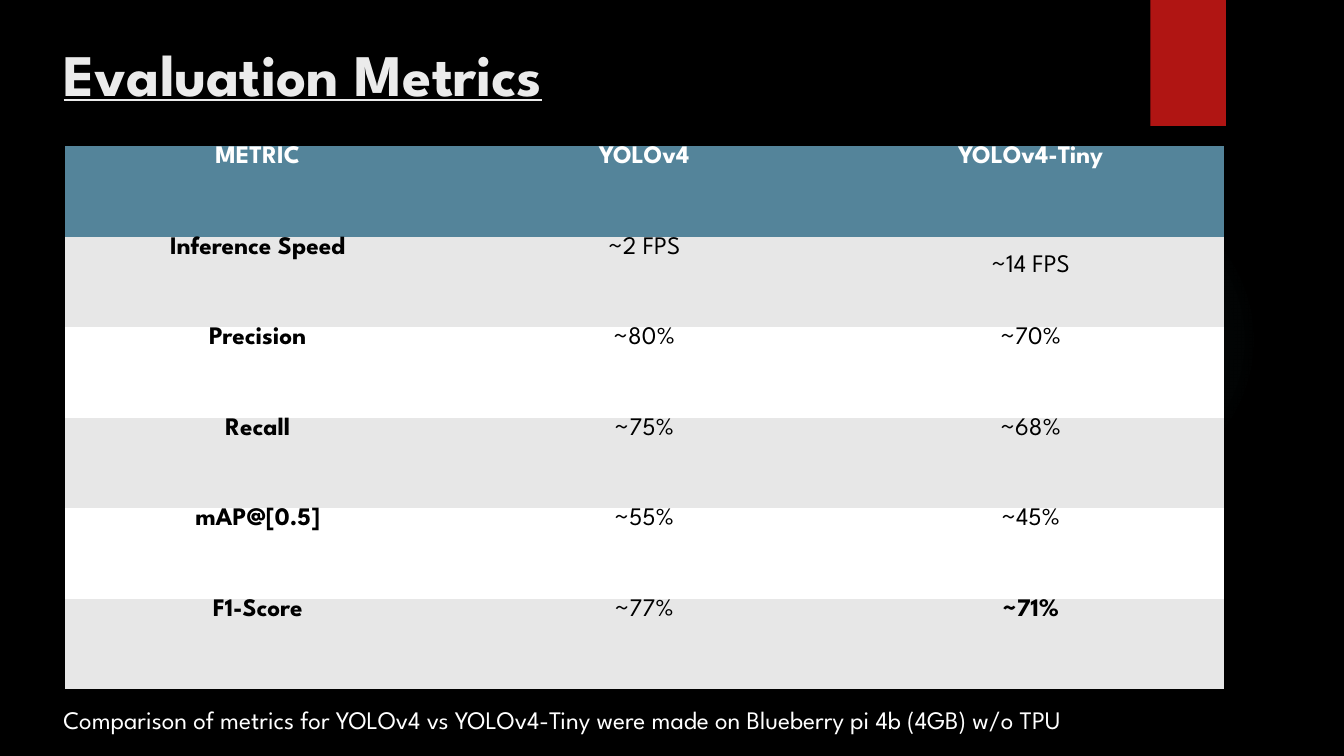
import pptx
import pptx.dml.color
import pptx.enum.shapes
import pptx.enum.text
import pptx.oxml
import pptx.oxml.ns
import pptx.util

RGBColor = pptx.dml.color.RGBColor
MSO_SHAPE = pptx.enum.shapes.MSO_SHAPE
MSO_ANCHOR = pptx.enum.text.MSO_ANCHOR
Inches = pptx.util.Inches

BLACK = RGBColor(0x00, 0x00, 0x00)
WHITE = RGBColor(0xFF, 0xFF, 0xFF)
OFF_WHITE = RGBColor(0xEB, 0xEB, 0xEB)
RED = RGBColor(0xB0, 0x15, 0x13)
TEAL = RGBColor(0x50, 0xB9, 0xC1)
HEADER_BLUE = RGBColor(0x54, 0x84, 0x9A)
BAND_GREY = RGBColor(0xE7, 0xE7, 0xE7)

FONT = "League Spartan"
SLIDE_WIDTH, SLIDE_HEIGHT = Inches(13.33), Inches(7.5)
TEXT_LEFT = Inches(0.53)
PLAIN_TABLE_STYLE = "{2D5ABB26-0587-4C30-8999-92F81FD0307C}"
GLOW_STOPS = [(0, 7), (36, 6), (69, 0)]  # position and opacity, in percent

METRICS = [
    ("METRIC", "YOLOv4", "YOLOv4-Tiny"),
    ("Inference Speed", "~2 FPS", "~14 FPS"),
    ("Precision", "~80%", "~70%"),
    ("Recall", "~75%", "~68%"),
    ("mAP@[0.5]", "~55%", "~45%"),
    ("F1-Score", "~77%", "~71%"),
]
BOLD_VALUES = {"~71%"}


def write(frame, text, size, color, bold=False, underline=False):
    frame.text = text
    font = frame.paragraphs[0].runs[0].font
    font.name, font.size = FONT, pptx.util.Pt(size)
    font.bold, font.underline = bold, underline
    font.color.rgb = color


def add_plain_shape(slide, kind, left, top, width, height, color):
    shape = slide.shapes.add_shape(kind, left, top, width, height)
    shape.shadow.inherit = False
    shape.line.fill.background()
    shape.fill.solid()
    shape.fill.fore_color.rgb = color
    return shape


def add_glow(slide):
    """Add the faint round light that fades out behind the table."""
    diameter = Inches(3.08)
    glow = add_plain_shape(slide, MSO_SHAPE.OVAL, Inches(9.41), Inches(1.83),
                           diameter, diameter, TEAL)
    stops = "".join(
        f'<a:gs pos="{position * 1000}"><a:srgbClr val="{TEAL}">'
        f'<a:alpha val="{opacity * 1000}"/></a:srgbClr></a:gs>'
        for position, opacity in GLOW_STOPS)
    gradient = pptx.oxml.parse_xml(
        f'<a:gradFill {pptx.oxml.ns.nsdecls("a")}><a:gsLst>{stops}</a:gsLst>'
        '<a:path path="circle"><a:fillToRect l="50000" t="50000" r="50000" '
        'b="50000"/></a:path></a:gradFill>')
    properties = glow.element.spPr
    properties.replace(properties.find(pptx.oxml.ns.qn("a:solidFill")), gradient)


def add_title(slide, text):
    title = slide.shapes.title
    title.left, title.top = TEXT_LEFT, Inches(0.32)
    title.width, title.height = Inches(10.29), Inches(1.53)
    frame = title.text_frame
    write(frame, text, 42, OFF_WHITE, bold=True, underline=True)
    frame.vertical_anchor = MSO_ANCHOR.TOP
    frame.paragraphs[0].alignment = pptx.enum.text.PP_ALIGN.LEFT


def format_cell(cell, text, row, column):
    is_header = row == 0
    cell.fill.solid()
    cell.fill.fore_color.rgb = (
        HEADER_BLUE if is_header else BAND_GREY if row % 2 else WHITE)
    cell.margin_top, cell.margin_bottom = 0, Inches(0.3)
    write(cell.text_frame, text, 18, WHITE if is_header else BLACK,
          bold=is_header or column == 0 or text in BOLD_VALUES)
    cell.text_frame.paragraphs[0].alignment = pptx.enum.text.PP_ALIGN.CENTER


def add_metrics_table(slide):
    frame = slide.shapes.add_table(len(METRICS), len(METRICS[0]), Inches(0.64),
                                   Inches(1.45), Inches(11.5), Inches(5.39))
    table = frame.table
    style = frame.element.find(".//" + pptx.oxml.ns.qn("a:tableStyleId"))
    style.text = PLAIN_TABLE_STYLE
    for row, values in enumerate(METRICS):
        for column, text in enumerate(values):
            format_cell(table.cell(row, column), text, row, column)
    table.cell(1, 2).vertical_anchor = MSO_ANCHOR.MIDDLE


def add_caption(slide, text):
    caption = slide.shapes.add_textbox(TEXT_LEFT, Inches(6.94),
                                       Inches(12.08), Inches(0.4))
    caption.text_frame.word_wrap = True
    write(caption.text_frame, text, 18, WHITE)


def main():
    deck = pptx.Presentation()
    deck.slide_width, deck.slide_height = SLIDE_WIDTH, SLIDE_HEIGHT
    slide = deck.slides.add_slide(deck.slide_layouts[5])
    slide.background.fill.solid()
    slide.background.fill.fore_color.rgb = BLACK

    add_glow(slide)
    add_plain_shape(slide, MSO_SHAPE.RECTANGLE, Inches(11.41), 0,
                    Inches(0.75), Inches(1.25), RED)
    add_title(slide, "Evaluation Metrics")
    add_metrics_table(slide)
    add_caption(slide, "Comparison of metrics for YOLOv4 vs YOLOv4-Tiny were "
                       "made on Blueberry pi 4b (4GB) w/o TPU")
    deck.save("out.pptx")


if __name__ == "__main__":
    main()
